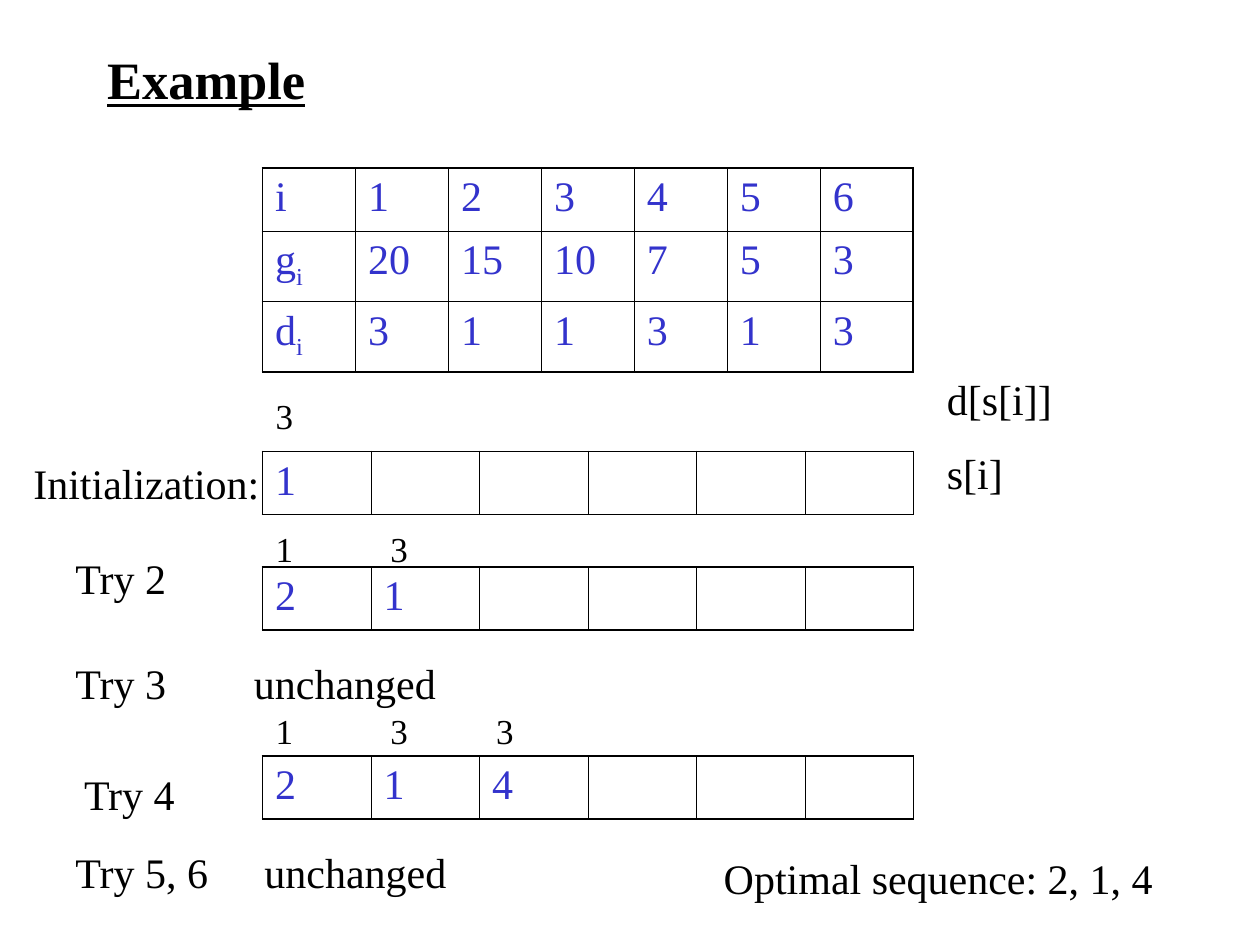
from lxml.etree import SubElement
from pptx import Presentation
from pptx.dml.color import RGBColor
from pptx.enum.text import MSO_ANCHOR, MSO_AUTO_SIZE, PP_ALIGN
from pptx.oxml.ns import qn
from pptx.util import Pt

COLORS = {"text": "000000", "value": "3333CC", "border": "000000"}
FONT = "Times New Roman"
OUTER, INNER = 1.08, 0.45
TABLE_X, TABLE_W = 150, 372
SLOTS = 6
DEADLINE_X = (150.5, 216, 276.5)

JOBS = [
    ["i", "1", "2", "3", "4", "5", "6"],
    ["g_i", "20", "15", "10", "7", "5", "3"],
    ["d_i", "3", "1", "1", "3", "1", "3"],
]
# table top, deadlines top, sequence, deadlines
STEPS = [
    (258, 222, ["1"], ["3"]),
    (324, 298, ["2", "1"], ["1", "3"]),
    (432, 402, ["2", "1", "4"], ["1", "3", "3"]),
]
# text, left, top, width
LABELS = [
    ("Initialization:", 12, 258, 146),
    ("s[i]", 534, 252, 49),
    ("d[s[i]]", 534, 210, 77),
    ("Try 2", 36, 312, 69),
    ("Try 3", 36, 372, 69),
    ("unchanged", 138, 372, 121),
    ("Try 4", 41, 435.5, 69),
    ("Try 5, 6", 36, 480, 93),
    ("unchanged", 144, 480, 121),
    ("Optimal sequence: 2, 1, 4", 406.5, 483.5, 268),
]


def style_font(font, color="text", **values):
    for name, value in {"name": FONT, "size": Pt(24), **values}.items():
        setattr(font, name, value)
    font.color.rgb = RGBColor.from_string(COLORS[color])


def add_title(s, text, x, y, w, h):
    sp = s.shapes.title
    sp.left, sp.top, sp.width, sp.height = Pt(x), Pt(y), Pt(w), Pt(h)
    tf = sp.text_frame
    tf.text = text
    tf.vertical_anchor = MSO_ANCHOR.MIDDLE
    p = tf.paragraphs[0]
    p.alignment = PP_ALIGN.LEFT
    style_font(p.runs[0].font, size=Pt(30), bold=True, underline=True)


def add_label(s, text, x, y, w, h=36, size=24):
    tf = s.shapes.add_textbox(Pt(x), Pt(y), Pt(w), Pt(h)).text_frame
    tf.word_wrap = False
    tf.auto_size = MSO_AUTO_SIZE.SHAPE_TO_FIT_TEXT
    p = tf.paragraphs[0]
    p.alignment = PP_ALIGN.LEFT
    r = p.add_run()
    r.text = text
    style_font(r.font, size=Pt(size))


def set_borders(cell, widths):
    """Draw the left, right, top and bottom borders in the given widths."""
    tcPr = cell._tc.get_or_add_tcPr()
    for i, (side, width) in enumerate(zip("LRTB", widths)):
        ln = SubElement(tcPr, qn(f"a:ln{side}"), w=str(int(Pt(width))))
        fill = SubElement(ln, qn("a:solidFill"))
        SubElement(fill, qn("a:srgbClr"), val=COLORS["border"])
        tcPr.insert(i, ln)


def fill_cell(cell, text):
    """Write the text; what follows an underscore becomes a subscript."""
    cell.fill.background()
    p = cell.text_frame.paragraphs[0]
    style_font(p.font, "value")
    base, _, sub = text.partition("_")
    for part, is_sub in ((base, False), (sub, True)):
        if part:
            r = p.add_run()
            r.text = part
            style_font(r.font, "value")
            if is_sub:
                r.font._element.set("baseline", "-25000")


def add_grid(s, rows, x, y, w, heights):
    n_rows, n_cols = len(rows), len(rows[0])
    table = s.shapes.add_table(n_rows, n_cols, Pt(x), Pt(y), Pt(w),
                               Pt(sum(heights))).table
    table.first_row = table.horz_banding = False
    for col in table.columns:
        col.width = Pt(w / n_cols)
    for i, (row, height) in enumerate(zip(rows, heights)):
        table.rows[i].height = Pt(height)
        for j, text in enumerate(row):
            cell = table.cell(i, j)
            fill_cell(cell, text)
            at_edge = (j == 0, j == n_cols - 1, i == 0, i == n_rows - 1)
            set_borders(cell, [OUTER if e else INNER for e in at_edge])


def add_step(s, y, deadlines_y, sequence, deadlines):
    """Add one state of the sequence with the deadlines above its slots."""
    row = sequence + [""] * (SLOTS - len(sequence))
    add_grid(s, [row], TABLE_X, y, TABLE_W, [36])
    for x, deadline in zip(DEADLINE_X, deadlines):
        add_label(s, deadline, x, deadlines_y, 25, 31.5, 20)


def main():
    prs = Presentation()
    prs.slide_width, prs.slide_height = Pt(720), Pt(540)
    s = prs.slides.add_slide(prs.slide_layouts[5])
    add_title(s, "Example", 54, 24, 486, 42)
    add_grid(s, JOBS, TABLE_X, 96, TABLE_W, [36, 40.3, 40.3])
    for step in STEPS:
        add_step(s, *step)
    for label in LABELS:
        add_label(s, *label)
    prs.save("out.pptx")


if __name__ == "__main__":
    main()
